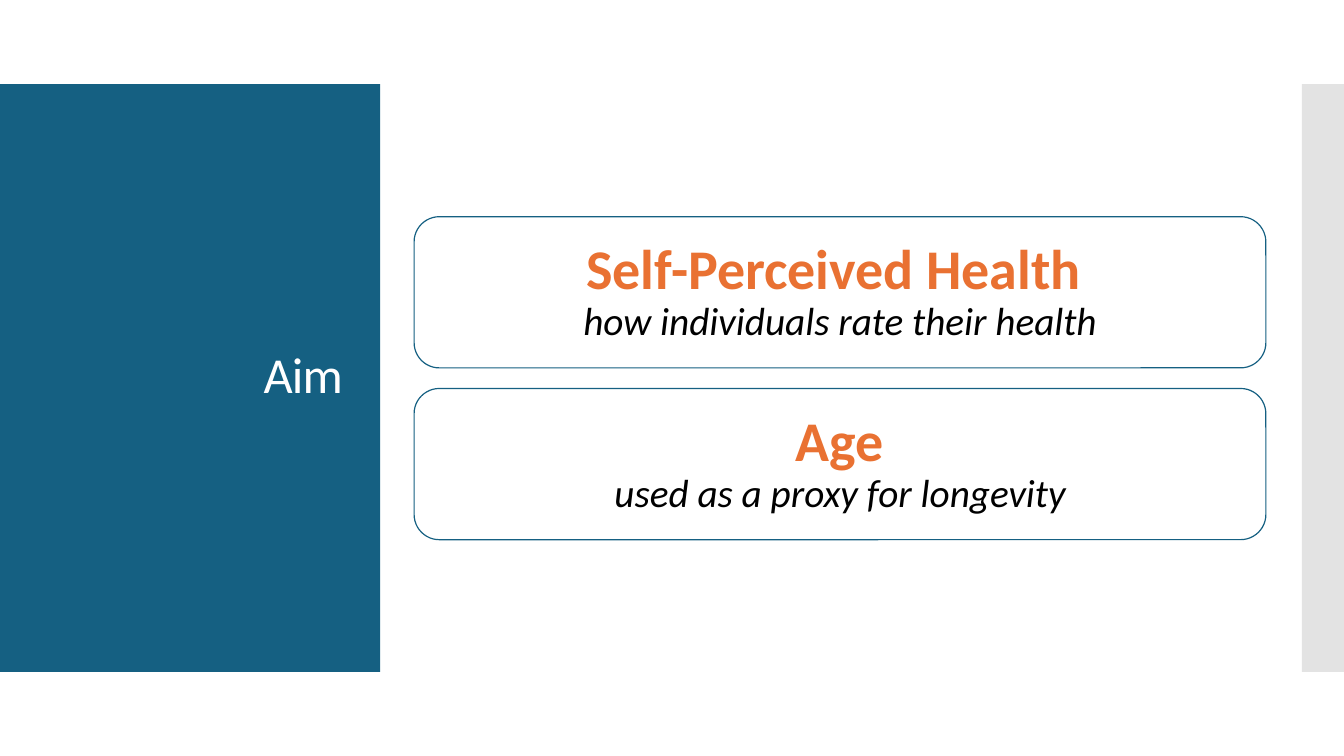
from lxml import etree
from pptx import Presentation, util as u
from pptx.dml.color import RGBColor
from pptx.enum import shapes, text
from pptx.oxml.ns import qn

COLS, ROWS = 32, 18
CARDS = [
    ("Self-Perceived Health ", "how individuals rate their health"),
    ("Age", "used as a proxy for longevity"),
]


def paint(color, code):
    color.rgb = RGBColor.from_string(code)


class Deck:
    face = "Calibri"
    blue, orange, grey = "156082", "E97132", "C8C8C8"
    white, black = "FFFFFF", "000000"

    def __init__(self):
        self.prs = Presentation()
        self.prs.slide_width = u.Inches(13.33)
        self.prs.slide_height = u.Inches(7.5)
        self.slide = self.prs.slides.add_slide(self.prs.slide_layouts[6])

    def area(self, col, row, wide, high):
        """Turn grid columns and rows into slide lengths."""
        x = self.prs.slide_width / COLS
        y = self.prs.slide_height / ROWS
        return [round(n) for n in (col * x, row * y, wide * x, high * y)]

    def shape(self, kind, *cells):
        item = self.slide.shapes.add_shape(kind, *self.area(*cells))
        item.shadow.inherit = False
        return item

    def panel(self, *cells, fill, alpha=None):
        item = self.shape(shapes.MSO_SHAPE.RECTANGLE, *cells)
        item.fill.solid()
        paint(item.fill.fore_color, fill)
        item.line.fill.background()
        if alpha:
            tint = item.fill._xPr.find(".//" + qn("a:srgbClr"))
            etree.SubElement(tint, qn("a:alpha"), val=str(alpha * 1000))

    def frame(self, item, align):
        """Prepare a wrapped, centred frame and give its first paragraph."""
        box = item.text_frame
        box.word_wrap = True
        box.vertical_anchor = text.MSO_ANCHOR.MIDDLE
        para = box.paragraphs[0]
        para.alignment = align
        para.line_spacing = 0.9
        para.font.name = self.face
        return para

    def title(self, words, *cells):
        item = self.slide.shapes.add_textbox(*self.area(*cells))
        para = self.frame(item, text.PP_ALIGN.RIGHT)
        para.font.size = u.Pt(36)
        paint(para.font.color, self.white)
        run = para.add_run()
        run.text = words
        run.font._element.set("spc", "-60")

    def card(self, head, note, *cells):
        item = self.shape(shapes.MSO_SHAPE.ROUNDED_RECTANGLE, *cells)
        item.fill.background()
        item.line.width = u.Pt(0.85)
        paint(item.line.color, self.blue)
        para = self.frame(item, text.PP_ALIGN.CENTER)
        self.run(para, head, 40, self.orange, bold=True)
        para.add_line_break()
        self.run(para, note, 28, self.black, italic=True)

    def run(self, para, words, size, code, bold=False, italic=False):
        run = para.add_run()
        run.text = words
        font = run.font
        font.name, font.size = self.face, u.Pt(size)
        font.bold, font.italic = bold, italic
        paint(font.color, code)


def main():
    deck = Deck()
    deck.panel(0, 2, 9.05, 14, fill=deck.blue)
    deck.panel(31, 2, 1, 14, fill=deck.grey, alpha=50)
    deck.title("Aim", 0.67, 2.95, 7.73, 12.07)
    for i, (head, note) in enumerate(CARDS):
        deck.card(head, note, 9.86, 5.16 + i * 4.09, 20.28, 3.6)
    deck.prs.save("out.pptx")


if __name__ == "__main__":
    main()
